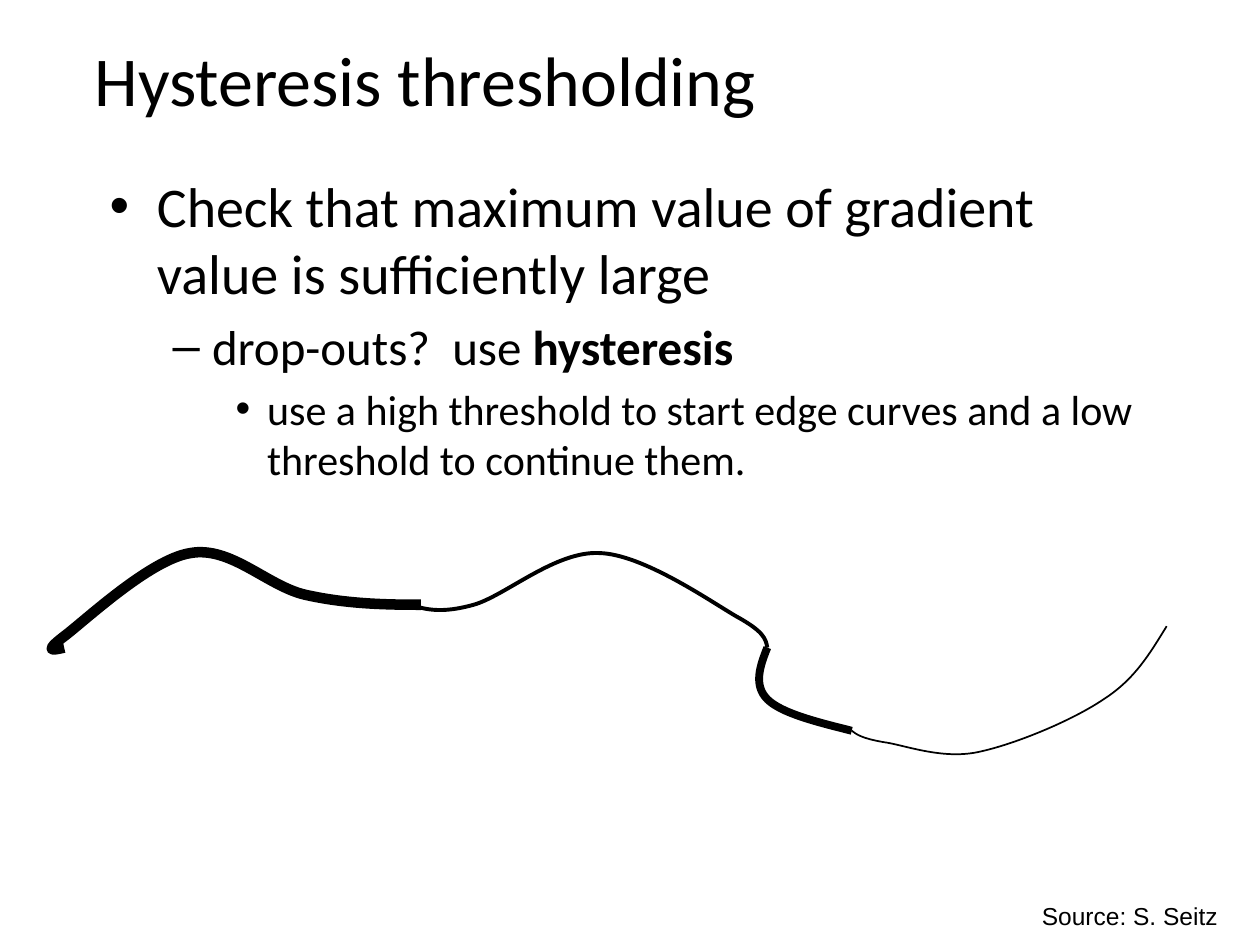
from dataclasses import dataclass

from lxml.etree import SubElement
from pptx import Presentation
from pptx.dml.color import RGBColor
from pptx.enum.text import MSO_ANCHOR, PP_ALIGN
from pptx.oxml.ns import qn
from pptx.util import Inches, Pt

COLUMNS, ROWS = 100, 75
CELL = Inches(0.1)

Point = tuple[float, float]


@dataclass(frozen=True)
class Theme:
    ink: RGBColor = RGBColor(0, 0, 0)
    font: str = "Calibri"
    credit_font: str = "Arial"
    title_size: int = 40
    level_sizes: tuple[int, ...] = (32, 28, 24)
    credit_size: int = 14


@dataclass(frozen=True)
class Area:
    column: float
    row: float
    columns: float
    rows: float

    def lengths(self) -> list[int]:
        return [round(n * CELL) for n in (self.column, self.row, self.columns, self.rows)]


@dataclass(frozen=True)
class Bullet:
    level: int
    plain: str
    strong: str = ""


@dataclass(frozen=True)
class Edge:
    weight: float
    knots: tuple[Point, ...]


THEME = Theme()

BULLETS = (
    Bullet(0, "Check that maximum value of gradient value is sufficiently large"),
    Bullet(1, "drop-outs?  use ", "hysteresis"),
    Bullet(2, "use a high threshold to start edge curves and a low threshold to continue them."),
)

EDGES = (
    Edge(6, ((5.1, 51.4), (4.2, 51.6), (3.4, 51.8), (5.1, 50.5), (6.7, 49.3),
             (11.9, 44.4), (15.1, 43.9), (18.3, 43.3), (21.2, 46.5), (24.2, 47.2),
             (27.3, 47.9), (30.3, 48), (33.4, 48))),
    Edge(2.25, ((32.6, 48), (33.8, 48.4), (35.1, 48.7), (37.6, 48), (40.1, 47.3),
                (44.1, 43.7), (47.6, 43.9), (51, 44), (56.2, 47.6), (58.4, 48.9),
                (60.6, 50.1), (60.8, 50.7), (60.9, 51.4))),
    Edge(4.5, ((60.9, 51.4), (60.3, 52.9), (59.8, 54.4), (60.9, 55.5),
               (62, 56.6), (64.8, 57.3), (67.6, 58))),
    Edge(1, ((67.6, 58), (68, 58.3), (68.4, 58.6), (70.1, 58.9), (71.7, 59.1),
             (74.7, 60.3), (77.6, 59.7), (80.5, 59.1), (85.1, 57.2), (87.6, 55.5),
             (90.1, 53.9), (91.3, 51.8), (92.6, 49.7))),
)


def place(shape, area: Area) -> None:
    shape.left, shape.top, shape.width, shape.height = area.lengths()


def style(paragraph, size: float, font: str = THEME.font) -> None:
    paragraph.alignment = PP_ALIGN.LEFT
    paragraph.font.name = font
    paragraph.font.size = Pt(size)
    paragraph.font.color.rgb = THEME.ink


def bend(outline) -> None:
    segments = outline.findall(qn("a:lnTo"))
    for first in range(0, len(segments), 3):
        bezier = SubElement(outline, qn("a:cubicBezTo"))
        for segment in segments[first:first + 3]:
            bezier.append(segment[0])
            outline.remove(segment)


def draw_edge(slide, edge: Edge) -> None:
    start, *rest = [(round(x * CELL), round(y * CELL)) for x, y in edge.knots]
    builder = slide.shapes.build_freeform(*start)
    builder.add_line_segments(rest, close=False)
    curve = builder.convert_to_shape()
    bend(next(curve.element.iter(qn("a:path"))))
    curve.shadow.inherit = False
    curve.fill.background()
    curve.line.color.rgb = THEME.ink
    curve.line.width = Pt(edge.weight)
    SubElement(next(curve.element.iter(qn("a:ln"))), qn("a:round"))


def write_title(slide, title: str) -> None:
    heading = slide.shapes.title
    place(heading, Area(6.5, 0, 85, 12.5))
    heading.text_frame.text = title
    heading.text_frame.vertical_anchor = MSO_ANCHOR.MIDDLE
    style(heading.text_frame.paragraphs[0], THEME.title_size)


def write_bullets(slide, bullets: tuple[Bullet, ...]) -> None:
    body = slide.placeholders[1]
    place(body, Area(7.7, 13.13, 85, 45))
    frame = body.text_frame
    for index, bullet in enumerate(bullets):
        paragraph = frame.add_paragraph() if index else frame.paragraphs[0]
        paragraph.level = bullet.level
        style(paragraph, THEME.level_sizes[bullet.level])
        paragraph.add_run().text = bullet.plain
        if bullet.strong:
            strong = paragraph.add_run()
            strong.text = bullet.strong
            strong.font.bold = True


def write_credit(slide, credit: str) -> None:
    frame = slide.shapes.add_textbox(*Area(81.7, 71, 21.6, 3.4).lengths()).text_frame
    frame.word_wrap = True
    frame.text = credit
    style(frame.paragraphs[0], THEME.credit_size, THEME.credit_font)


def main() -> None:
    deck = Presentation()
    deck.slide_width, deck.slide_height = COLUMNS * CELL, ROWS * CELL
    slide = deck.slides.add_slide(deck.slide_layouts.get_by_name("Title and Content"))
    write_title(slide, "Hysteresis thresholding")
    write_bullets(slide, BULLETS)
    for edge in EDGES:
        draw_edge(slide, edge)
    write_credit(slide, "Source: S. Seitz")
    deck.save("out.pptx")


if __name__ == "__main__":
    main()
